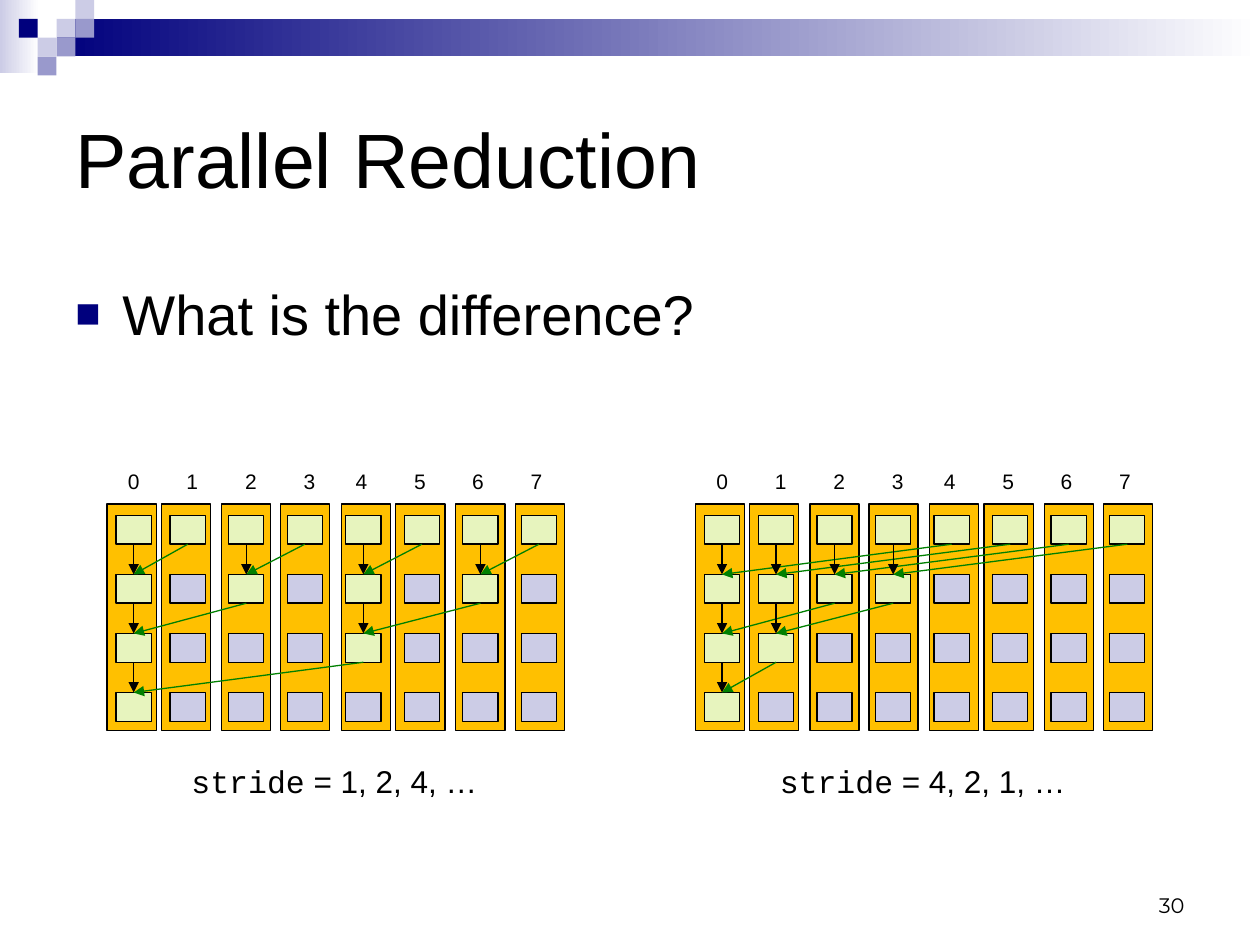
from dataclasses import dataclass
from typing import Sequence

from lxml.etree import SubElement as Sub
from pptx import Presentation
from pptx.dml.color import RGBColor as Rgb
from pptx.enum.shapes import MSO_CONNECTOR as Link, MSO_SHAPE as Form
from pptx.enum.text import MSO_ANCHOR as Anchor, PP_ALIGN as Align
from pptx.oxml.ns import qn
from pptx.util import Cm, Pt

HUES = {
    "black": "000000",
    "navy": "00007D",
    "mist": "CCCCE6",
    "lilac": "9999CC",
    "white": "FFFFFF",
    "amber": "FFC000",
    "lime": "E7F4BE",
    "green": "008000",
}
BARS = (0, 1.09, 2.31, 3.5, 4.72, 5.82, 7.03, 8.23)
TABS = (1.18, 2.36, 3.54, 4.59, 5.77, 6.94, 8.12)
CELL_W, CELL_H = 0.71, 0.58
UNIT = 0.38


@dataclass
class Area:
    left: float
    top: float
    width: float
    height: float


@dataclass
class Panel:
    left: float
    strides: Sequence[int]
    live: Sequence[Sequence[int]]


@dataclass
class Tile:
    col: int
    row: int
    hue: str


TILES = (
    Tile(1, 1, "mist"),
    Tile(2, 0, "mist"),
    Tile(2, 1, "lilac"),
    Tile(0, 2, "mist"),
    Tile(-1, 1, "navy"),
    Tile(1, 2, "lilac"),
    Tile(0, 3, "lilac"),
)
NEAR, FAR = (1, 2, 4), (4, 2, 1)
PANELS = (
    Panel(2.16, NEAR, [range(8)] + [range(0, 8, 2 * s) for s in NEAR]),
    Panel(14.02, FAR, [range(8)] + [range(s) for s in FAR]),
)


def tint(name: str) -> Rgb:
    return Rgb.from_string(HUES[name])


def rect(slide, area: Area, hue: str, edge: bool = False, fade: bool = False) -> None:
    shape = slide.shapes.add_shape(
        Form.RECTANGLE, Cm(area.left), Cm(area.top), Cm(area.width), Cm(area.height)
    )
    shape.shadow.inherit = False
    if fade:
        shape.fill.gradient()
        shape.fill.gradient_angle = 0
        for stop, name in zip(shape.fill.gradient_stops, (hue, "white")):
            stop.color.rgb = tint(name)
    else:
        shape.fill.solid()
        shape.fill.fore_color.rgb = tint(hue)
    if edge:
        shape.line.color.rgb = tint("black")
        shape.line.width = Pt(0.75)
    else:
        shape.line.fill.background()


def arrow(slide, start: tuple[float, float], end: tuple[float, float], hue: str) -> None:
    line = slide.shapes.add_connector(Link.STRAIGHT, *map(Cm, start + end))
    line.line.color.rgb = tint(hue)
    line.line.width = Pt(0.75)
    Sub(line.line._get_or_add_ln(), qn("a:tailEnd"), type="triangle")
    Sub(line._element.spPr, qn("a:effectLst"))


def label(slide, area: Area, size: float, parts: Sequence[tuple[str, str]],
          anchor: Anchor = Anchor.TOP, wrap: bool = True):
    box = slide.shapes.add_textbox(
        Cm(area.left), Cm(area.top), Cm(area.width), Cm(area.height)
    )
    frame = box.text_frame
    frame.word_wrap = wrap
    frame.vertical_anchor = anchor
    para = frame.paragraphs[0]
    for text, face in parts:
        run = para.add_run()
        run.text = text
        run.font.name = face
        run.font.size = Pt(size)
        run.font.color.rgb = tint("black")
    return para


def bullet(para) -> None:
    props = para._p.get_or_add_pPr()
    props.set("marL", str(Cm(0.95)))
    props.set("indent", str(-Cm(0.95)))
    Sub(Sub(props, qn("a:buClr")), qn("a:srgbClr"), val=HUES["navy"])
    Sub(props, qn("a:buSzPct"), val="75000")
    Sub(props, qn("a:buFont"), typeface="Arial")
    Sub(props, qn("a:buChar"), char="■")


def tabs(para) -> None:
    stops = Sub(para._p.get_or_add_pPr(), qn("a:tabLst"))
    for pos in TABS:
        Sub(stops, qn("a:tab"), pos=str(Cm(pos)), algn="l")


def cell_x(panel: Panel, col: int) -> float:
    return panel.left + (1.27 + 1.18 * (col - 1) if col else 0.18)


def cell_y(row: int) -> float:
    return 10.39 + 1.19 * row


def draw(slide, panel: Panel) -> None:
    for bar in BARS:
        rect(slide, Area(panel.left + bar, 10.16, 0.99, 4.57), "amber", edge=True)
    for row, live in enumerate(panel.live):
        for col in range(8):
            area = Area(cell_x(panel, col), cell_y(row), CELL_W, CELL_H)
            rect(slide, area, "lime" if col in live else "mist", edge=True)
    for row, step in enumerate(panel.strides):
        for col in panel.live[row + 1]:
            end = (cell_x(panel, col) + CELL_W / 2, cell_y(row + 1))
            for source, hue in ((col, "black"), (col + step, "green")):
                start = (cell_x(panel, source) + CELL_W / 2, cell_y(row) + CELL_H)
                arrow(slide, start, end, hue)
    digits = "\t".join(map(str, range(8)))
    tabs(label(slide, Area(panel.left + 0.17, 9.32, 9.02, 0.76), 12, [(digits, "Arial")]))
    steps = ", ".join(map(str, panel.strides))
    label(slide, Area(panel.left + 1.45, 15.24, 6.32, 1.02), 18,
          [("stride", "Courier New"), (f" = {steps}, …", "Arial")], wrap=False)


def main() -> None:
    deck = Presentation()
    deck.slide_width, deck.slide_height = Cm(25.4), Cm(19.05)
    slide = deck.slides.add_slide(deck.slide_layouts[6])
    rect(slide, Area(0, 0, 0.79, 1.47), "mist", fade=True)
    rect(slide, Area(1.14, UNIT, 24.26, 2 * UNIT), "navy", fade=True)
    for tile in TILES:
        area = Area(0.76 + tile.col * UNIT, tile.row * UNIT, UNIT, UNIT)
        rect(slide, area, tile.hue)
    label(slide, Area(1.27, 1.27, 22.86, 3.81), 44,
          [("Parallel Reduction", "Arial")], Anchor.MIDDLE)
    bullet(label(slide, Area(1.27, 5.51, 22.86, 5.08), 32,
                 [("What is the difference?", "Arial")]))
    for panel in PANELS:
        draw(slide, panel)
    page = label(slide, Area(18.21, 17.35, 5.92, 1.27), 12,
                 [("30", "Montserrat")], Anchor.BOTTOM)
    page.alignment = Align.RIGHT
    deck.save("out.pptx")


if __name__ == "__main__":
    main()
